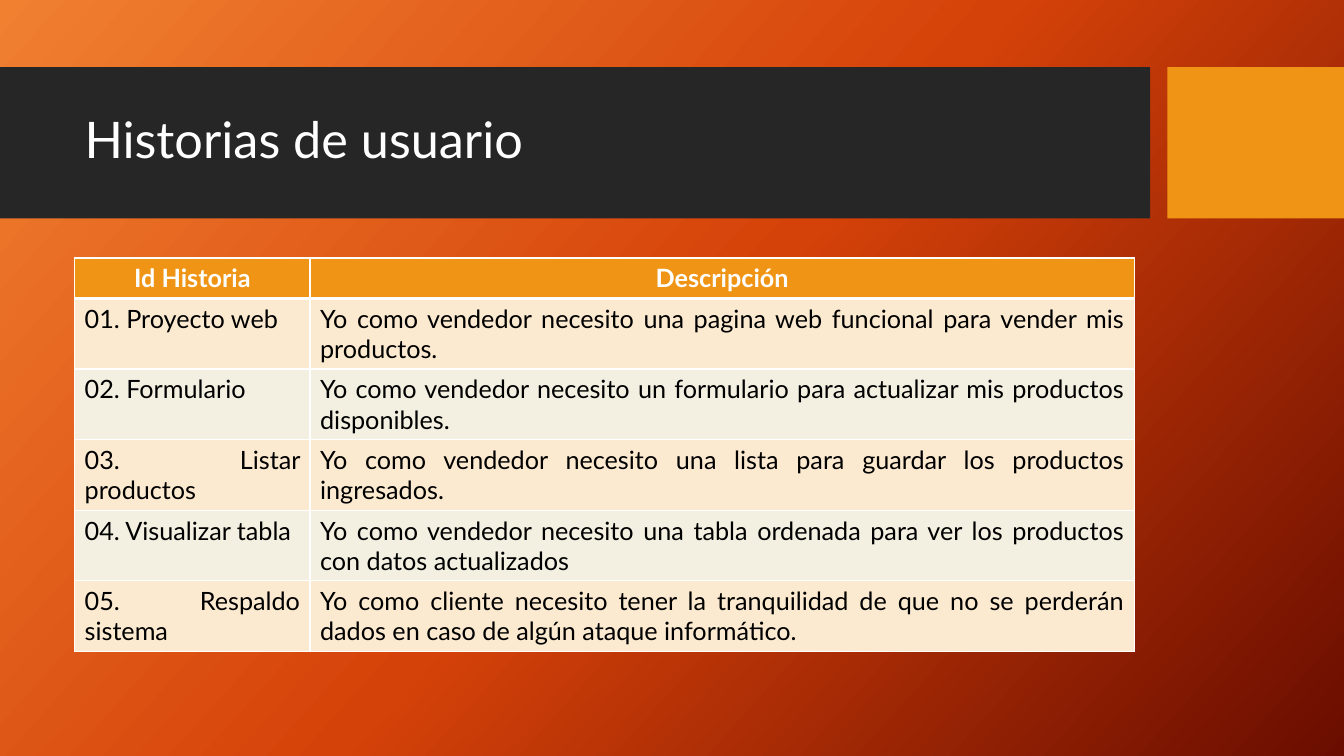
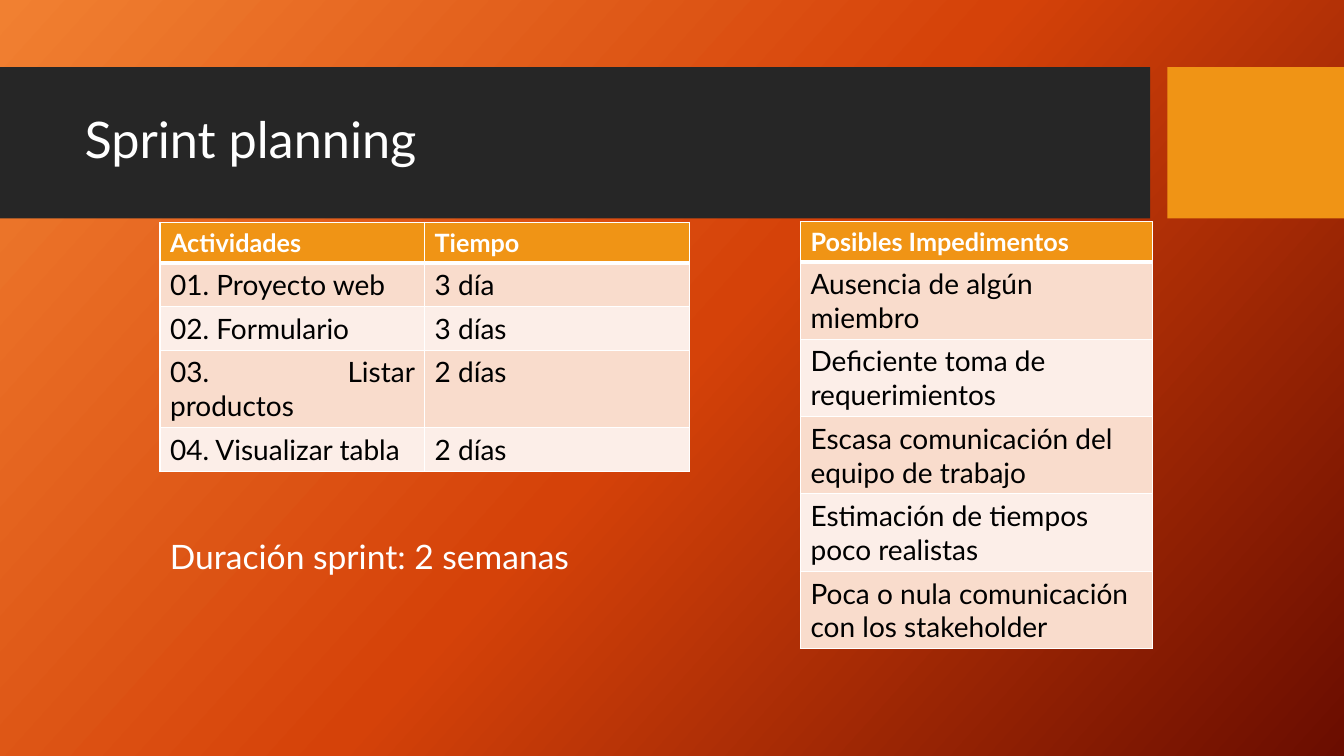
from copy import deepcopy

from lxml import etree
from pptx import Presentation
from pptx.dml.color import RGBColor
from pptx.enum import shapes, text
from pptx.oxml import ns
from pptx.util import Pt

FONT = "Lato"
WHITE, BLACK, DARK, ORANGE = "FFFFFF", "000000", "262626", "F09415"
CREAM = ("FCEAD0", "F3F0E1")
PEACH = ("F9DCCC", "FCEEE8")
GRADIENT = [(0, "F18031"), (0.5, "D54209"), (1, "6A0D00")]
BANDS = [(0, 821.5, DARK), (833.8, 126.2, ORANGE)]
BAND_TOP, BAND_HEIGHT = 48, 108
HEADER_SIZE, LINE_FACTOR, CELL_PADDING = 18, 1.2, 7.2
LEFT, CENTER, JUSTIFY = text.PP_ALIGN.LEFT, text.PP_ALIGN.CENTER, text.PP_ALIGN.JUSTIFY

SLIDES = [
    {
        "title": "Historias de usuario",
        "tables": [{
            "at": (53.3, 184.3), "widths": (168.2, 588.8), "size": 18, "lines": 2,
            "fills": CREAM, "header_align": CENTER, "aligns": (JUSTIFY, JUSTIFY),
            "rows": [
                ("Id Historia", "Descripción"),
                ("01. Proyecto web", "Yo como vendedor necesito una pagina web funcional para vender mis productos."),
                ("02. Formulario", "Yo como vendedor necesito un formulario para actualizar mis productos disponibles."),
                ("03. Listar productos", "Yo como vendedor necesito una lista para guardar los productos ingresados."),
                ("04. Visualizar tabla", "Yo como vendedor necesito una tabla ordenada para ver los productos con datos actualizados"),
                ("05. Respaldo sistema", "Yo como cliente necesito tener la tranquilidad de que no se perderán dados en caso de algún ataque informático."),
            ],
        }],
        "notes": [],
    },
    {
        "title": "Sprint planning",
        "tables": [
            {
                "at": (114.3, 158.8), "widths": (189, 189), "size": 20, "lines": 1,
                "fills": PEACH, "header_align": LEFT, "aligns": (JUSTIFY, LEFT),
                "rows": [
                    ("Actividades", "Tiempo"),
                    ("01. Proyecto web", "3 día"),
                    ("02. Formulario", "3 días"),
                    ("03. Listar productos", "2 días"),
                    ("04. Visualizar tabla", "2 días"),
                ],
            },
            {
                "at": (571.8, 158.2), "widths": (251.3,), "size": 20, "lines": 2,
                "fills": PEACH, "header_align": LEFT, "aligns": (LEFT,),
                "rows": [
                    ("Posibles Impedimentos",),
                    ("Ausencia de algún miembro",),
                    ("Deficiente toma de requerimientos",),
                    ("Escasa comunicación del equipo de trabajo",),
                    ("Estimación de tiempos poco realistas",),
                    ("Poca o nula comunicación con los stakeholder",),
                ],
            },
        ],
        "notes": [("Duración sprint: 2 semanas", (114.3, 379.4, 408, 36))],
    },
]


def rgb(color):
    return RGBColor.from_string(color)


def write(frame, words, size, color, align=LEFT, bold=False):
    para = frame.paragraphs[0]
    para.alignment = align
    span = para.add_run()
    span.text = words
    span.font.name = FONT
    span.font.size = Pt(size)
    span.font.bold = bold
    span.font.color.rgb = rgb(color)
    return para


def add_text(page, words, at, size, anchor=text.MSO_ANCHOR.TOP):
    box = page.shapes.add_textbox(*map(Pt, at))
    box.text_frame.word_wrap = True
    box.text_frame.vertical_anchor = anchor
    return write(box.text_frame, words, size, WHITE)


def paint_background(master):
    fill = master.background.fill
    fill.gradient()
    fill.gradient_angle = 360 - 42
    stop_list = master.element.find(".//" + ns.qn("p:bgPr")).find(".//" + ns.qn("a:gsLst"))
    stop_list.insert(1, deepcopy(stop_list[0]))
    for stop, (position, color) in zip(fill.gradient_stops, GRADIENT):
        stop.position = position
        stop.color.rgb = rgb(color)


def add_frame(page, title):
    for left, width, color in BANDS:
        band = page.shapes.add_shape(
            shapes.MSO_SHAPE.RECTANGLE, Pt(left), Pt(BAND_TOP), Pt(width), Pt(BAND_HEIGHT))
        band.shadow.inherit = False
        band.fill.solid()
        band.fill.fore_color.rgb = rgb(color)
        band.line.fill.background()
    para = add_text(page, title, (53.3, 59, 757, 85), 36, text.MSO_ANCHOR.MIDDLE)
    para.line_spacing = 0.9


def set_borders(cell, top, bottom):
    properties = cell._tc.get_or_add_tcPr()
    for side, width in (("L", 1), ("R", 1), ("T", top), ("B", bottom)):
        line = etree.SubElement(properties, ns.qn("a:ln" + side), w=str(Pt(width)))
        solid = etree.SubElement(line, ns.qn("a:solidFill"))
        etree.SubElement(solid, ns.qn("a:srgbClr"), val=WHITE)


def row_height(lines, size):
    return Pt(lines * size * LINE_FACTOR + CELL_PADDING)


def add_table(page, data):
    rows, widths, size = data["rows"], data["widths"], data["size"]
    heights = [row_height(1, HEADER_SIZE)] + [row_height(data["lines"], size)] * (len(rows) - 1)
    table = page.shapes.add_table(
        len(rows), len(widths), *map(Pt, data["at"]), Pt(sum(widths)), sum(heights)).table
    table.first_row = table.horz_banding = False
    for column, width in zip(table.columns, widths):
        column.width = Pt(width)
    for r, (values, height) in enumerate(zip(rows, heights)):
        table.rows[r].height = height
        for c, value in enumerate(values):
            cell = table.cell(r, c)
            set_borders(cell, 3 if r == 1 else 1, 3 if r == 0 else 1)
            cell.fill.solid()
            cell.fill.fore_color.rgb = rgb(data["fills"][(r - 1) % 2] if r else ORANGE)
            if r:
                write(cell.text_frame, value, size, BLACK, data["aligns"][c])
            else:
                write(cell.text_frame, value, HEADER_SIZE, WHITE, data["header_align"], True)


def main():
    deck = Presentation()
    deck.slide_width, deck.slide_height = Pt(960), Pt(540)
    paint_background(deck.slide_master)
    for content in SLIDES:
        page = deck.slides.add_slide(deck.slide_layouts[6])
        add_frame(page, content["title"])
        for data in content["tables"]:
            add_table(page, data)
        for words, at in content["notes"]:
            add_text(page, words, at, 24)
    deck.save("out.pptx")


if __name__ == "__main__":
    main()
